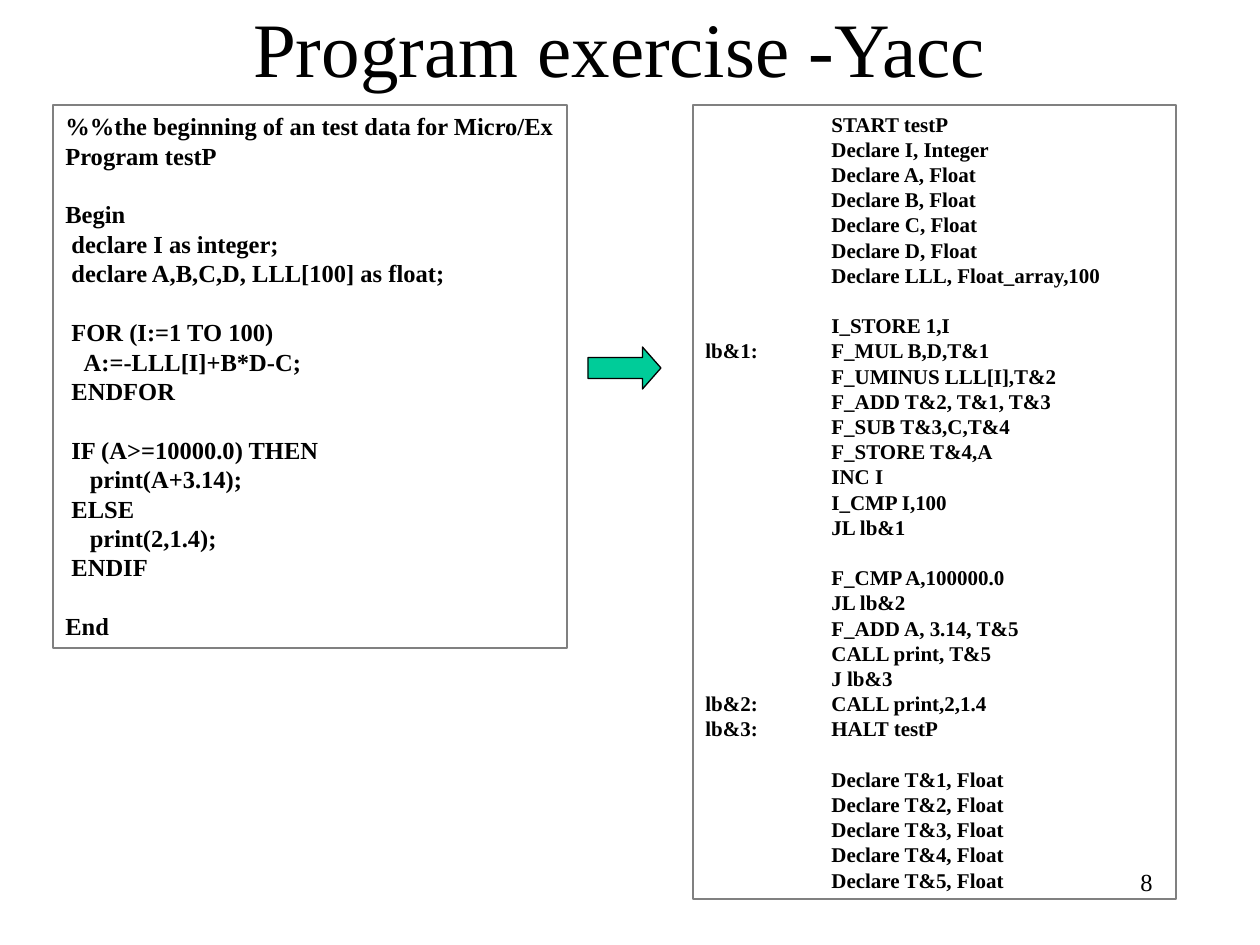
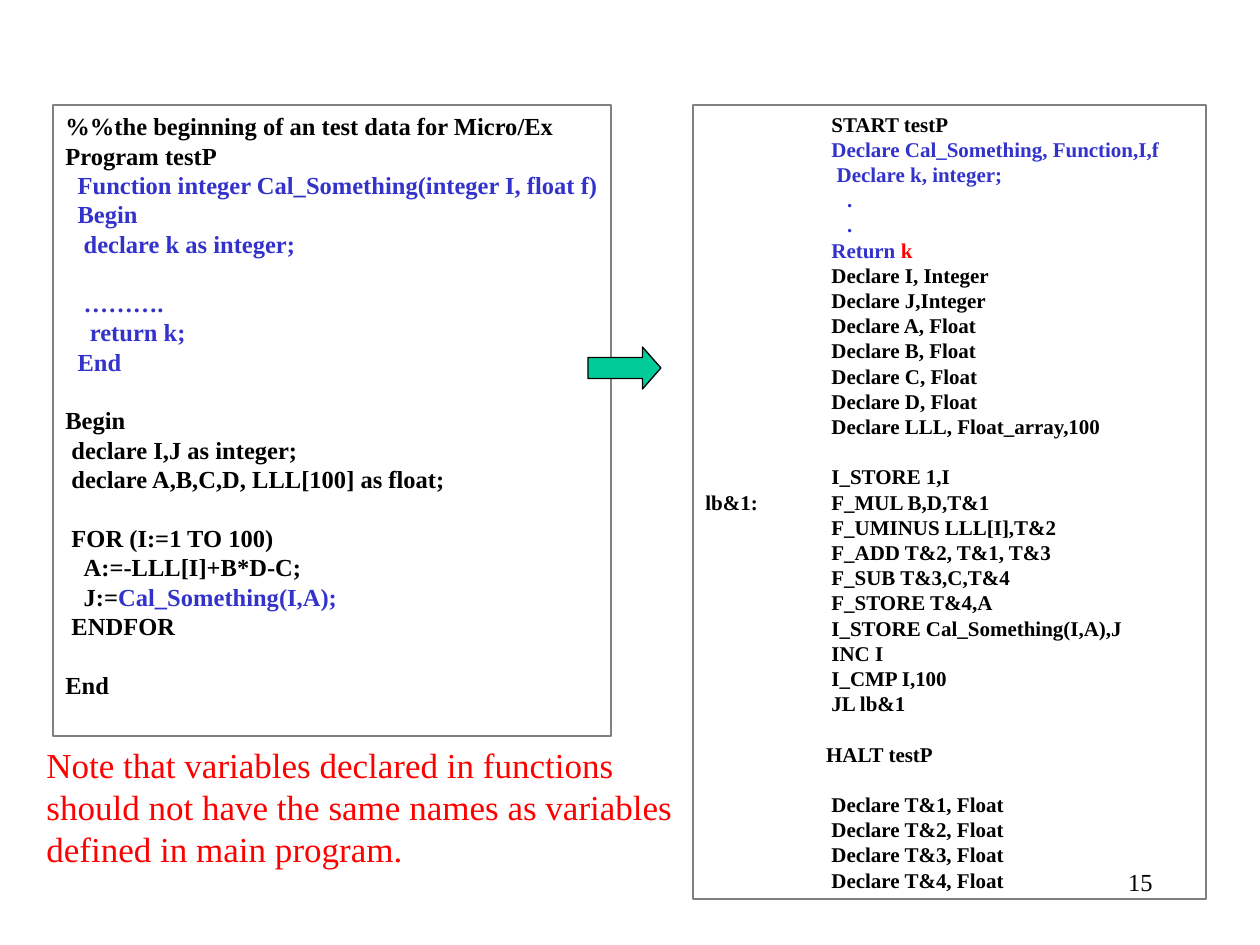
"""Builds two slides that show Micro/Ex programs beside their generated code."""
from pptx import Presentation, util as u
from pptx.dml.color import RGBColor
from pptx.enum import shapes, text
from pptx.oxml.ns import qn
from lxml import etree

PX = 914400 / 126
FONT = "Times New Roman"
BLACK = RGBColor(0x00, 0x00, 0x00)
GREY = RGBColor(0x80, 0x80, 0x80)
BLUE = RGBColor(0x33, 0x33, 0xCC)
RED = RGBColor(0xFF, 0x00, 0x00)
GREEN = RGBColor(0x00, 0xCC, 0x99)
MARKS = {"b": BLUE, "r": RED}

LOOP_SOURCE = """%%the beginning of an test data for Micro/Ex
Program testP

Begin
 declare I as integer;
 declare A,B,C,D, LLL[100] as float;

 FOR (I:=1 TO 100)
   A:=-LLL[I]+B*D-C;
 ENDFOR

 IF (A>=10000.0) THEN
    print(A+3.14);
 ELSE
    print(2,1.4);
 ENDIF

End"""

LOOP_CODE = """START testP
Declare I, Integer
Declare A, Float
Declare B, Float
Declare C, Float
Declare D, Float
Declare LLL, Float_array,100

I_STORE 1,I
lb&1:\tF_MUL B,D,T&1
F_UMINUS LLL[I],T&2
F_ADD T&2, T&1, T&3
F_SUB T&3,C,T&4
F_STORE T&4,A
INC I
I_CMP I,100
JL lb&1

F_CMP A,100000.0
JL lb&2
F_ADD A, 3.14, T&5
CALL print, T&5
J lb&3
lb&2:\tCALL print,2,1.4
lb&3:\tHALT testP

Declare T&1, Float
Declare T&2, Float
Declare T&3, Float
Declare T&4, Float
Declare T&5, Float"""

FUNCTION_SOURCE = """%%the beginning of an test data for Micro/Ex
Program testP
  ^bFunction integer Cal_Something(integer I, float f)
  ^bBegin
   ^bdeclare k as integer;

   ^b……….
    ^breturn k;
  ^bEnd

Begin
 declare I,J as integer;
 declare A,B,C,D, LLL[100] as float;

 FOR (I:=1 TO 100)
   A:=-LLL[I]+B*D-C;
   J:=^bCal_Something(I,A);
 ENDFOR

End"""

FUNCTION_CODE = """START testP
^bDeclare Cal_Something, Function,I,f
 ^bDeclare k, integer;
   ^b.
   ^b.
^bReturn ^rk
Declare I, Integer
Declare J,Integer
Declare A, Float
Declare B, Float
Declare C, Float
Declare D, Float
Declare LLL, Float_array,100

I_STORE 1,I
lb&1:\tF_MUL B,D,T&1
F_UMINUS LLL[I],T&2
F_ADD T&2, T&1, T&3
F_SUB T&3,C,T&4
F_STORE T&4,A
I_STORE Cal_Something(I,A),J
INC I
I_CMP I,100
JL lb&1

<HALT testP

Declare T&1, Float
Declare T&2, Float
Declare T&3, Float
Declare T&4, Float"""

NOTE = """Note that variables declared in functions
should not have the same names as variables
defined in main program."""


class Deck:
    """Holds the style and the current slide."""

    def __init__(self):
        self.prs = Presentation()
        self.prs.slide_width, self.prs.slide_height = self.emu(1260, 945)
        self.s = None

    def emu(self, *lengths):
        """Turn px lengths into EMU."""
        return [u.Emu(round(n * PX)) for n in lengths]

    def slide(self):
        """Start a blank slide."""
        self.s = self.prs.slides.add_slide(self.prs.slide_layouts[6])

    def shape(self, kind, box, line, fill=None):
        """Add an outlined preset shape."""
        sp = self.s.shapes.add_shape(kind, *self.emu(*box))
        sp.shadow.inherit = False
        if fill is None:
            sp.fill.background()
        else:
            sp.fill.solid()
            sp.fill.fore_color.rgb = fill
        sp.line.color.rgb = line
        sp.line.width = u.Pt(0.75)
        return sp

    def fill_text(self, sp, lines, size, color=BLACK, bold=False, base=0,
                  align=text.PP_ALIGN.LEFT, **frame):
        """Fill a shape with lines; leading spaces become indents, blank lines become gaps."""
        tf = sp.text_frame
        frame = {"word_wrap": True, "vertical_anchor": text.MSO_ANCHOR.TOP, **frame}
        for name, value in frame.items():
            setattr(tf, name, value)
        p, gap = tf.paragraphs[0], 0
        for line in lines.split("\n"):
            if not line:
                gap += 1
                continue
            p = p or tf.add_paragraph()
            body = line.lstrip(" <")
            spaces = base + line.count(" ", 0, len(line) - len(body)) - line.startswith("<")
            style = {"alignment": align, "line_spacing": u.Pt(size * 1.2),
                     "space_before": u.Pt(size * 1.2 * gap)}
            for name, value in style.items():
                setattr(p, name, value)
            if "\t" in body:
                tabs = etree.SubElement(p._p.get_or_add_pPr(), qn("a:tabLst"))
                etree.SubElement(tabs, qn("a:tab"), pos=str(u.Inches(1)), algn="l")
            else:
                p._p.get_or_add_pPr().set("marL", str(u.Pt(spaces * size / 4)))
            first, *marked = body.split("^")
            pieces = [(first, color)] + [(m[1:], MARKS[m[0]]) for m in marked]
            for words, ink in pieces:
                if words:
                    self.run(p, words, ink, size=u.Pt(size), bold=bold)
            p, gap = None, 0

    def run(self, p, words, ink, **style):
        """Add one run of text."""
        r = p.add_run()
        r.text = words
        for name, value in {"name": FONT, **style}.items():
            setattr(r.font, name, value)
        r.font.color.rgb = ink

    def label(self, box, words, size, **style):
        """Add a text box."""
        self.fill_text(self.s.shapes.add_textbox(*self.emu(*box)), words, size, **style)

    def title(self, words):
        """Add the slide title."""
        self.label((84, 0, 1071, 84), words, 44, align=text.PP_ALIGN.CENTER,
                   margin_top=0, margin_bottom=0)

    def number(self, n):
        """Add the slide number."""
        self.label((903, 861, 262, 63), str(n), 14, align=text.PP_ALIGN.RIGHT)

    def panel(self, box, lines, size, base=0):
        """Add a framed listing."""
        sp = self.shape(shapes.MSO_SHAPE.RECTANGLE, box, GREY)
        self.fill_text(sp, lines, size, bold=True, base=base, margin_right=0)

    def translation(self, source, source_size, code, code_width):
        """Add a source listing, its generated code and the arrow between them."""
        self.panel((53, 105, *source_size), source, 14)
        self.panel((693, 105, code_width, 794), code, 12, base=24)
        sp = self.shape(shapes.MSO_SHAPE.RIGHT_ARROW, (588, 347, 73, 42), BLACK, GREEN)
        sp.adjustments[1] = 0.44


def main():
    """Build and save both slides."""
    deck = Deck()
    deck.slide()
    deck.number(8)
    deck.title("Program exercise -Yacc")
    deck.translation(LOOP_SOURCE, (514, 543), LOOP_CODE, 483)
    deck.slide()
    deck.number(15)
    deck.translation(FUNCTION_SOURCE, (558, 631), FUNCTION_CODE, 513)
    deck.label((34, 737, 651, 139), NOTE, 20, color=RED, margin_right=0)
    deck.prs.save("out.pptx")


if __name__ == "__main__":
    main()
